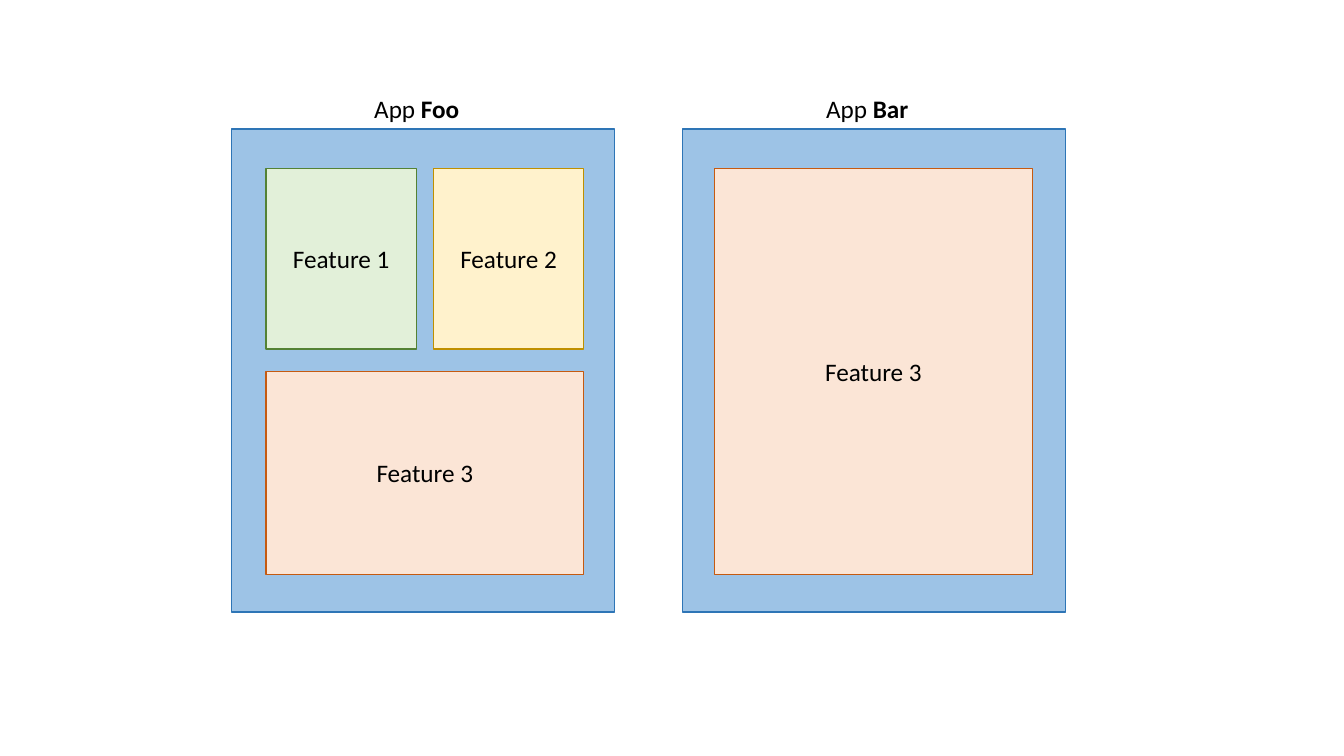
"""Build a slide showing which features the apps Foo and Bar contain."""
from pptx import Presentation
from pptx.dml.color import RGBColor
from pptx.enum.shapes import MSO_SHAPE
from pptx.enum.text import MSO_ANCHOR, MSO_AUTO_SIZE, PP_ALIGN
from pptx.util import Pt

APP_COLORS = ("9DC3E6", "2E75B6")
FEATURE_COLORS = {
    "Feature 1": ("E2F0D9", "548235"),
    "Feature 2": ("FFF2CC", "BF9000"),
    "Feature 3": ("FBE5D6", "C55A11"),
}
# Each app: name, left edge, left inset of its features, rows of (height, features)
APPS = [
    ("Foo", 165.6, 24.4, [(129, ["Feature 1", "Feature 2"]), (145, ["Feature 3"])]),
    ("Bar", 487.4, 23, [(290, ["Feature 3"])]),
]
APP_TOP, APP_WIDTH, APP_HEIGHT = 92.2, 273.6, 345
TITLE_WIDTH, TITLE_HEIGHT = 264.2, 28.8
FEATURES_TOP, FEATURES_WIDTH = 120.2, 227
COLUMN_GAP, ROW_GAP = 12.2, 16


def color(hex_string):
    return RGBColor.from_string(hex_string)


def write(shape, *parts):
    paragraph = shape.text_frame.paragraphs[0]
    paragraph.alignment = PP_ALIGN.CENTER
    for text, bold in parts:
        run = paragraph.add_run()
        run.text = text
        run.font.name = "Calibri"
        run.font.size = Pt(18)
        run.font.bold = bold
        run.font.color.rgb = color("000000")


def add_box(slide, left, top, width, height, colors):
    shape = slide.shapes.add_shape(
        MSO_SHAPE.RECTANGLE, Pt(left), Pt(top), Pt(width), Pt(height))
    fill, line = colors
    shape.shadow.inherit = False
    shape.fill.solid()
    shape.fill.fore_color.rgb = color(fill)
    shape.line.color.rgb = color(line)
    shape.line.width = Pt(1)
    return shape


def add_title(slide, name, left):
    title = slide.shapes.add_textbox(
        Pt(left), Pt(APP_TOP - TITLE_HEIGHT), Pt(TITLE_WIDTH), Pt(TITLE_HEIGHT))
    title.text_frame.word_wrap = True
    title.text_frame.auto_size = MSO_AUTO_SIZE.SHAPE_TO_FIT_TEXT
    write(title, ("App ", False), (name, True))


def add_features(slide, left, rows):
    top = FEATURES_TOP
    for height, features in rows:
        count = len(features)
        width = (FEATURES_WIDTH - COLUMN_GAP * (count - 1)) / count
        for column, feature in enumerate(features):
            box = add_box(slide, left + column * (width + COLUMN_GAP), top,
                          width, height, FEATURE_COLORS[feature])
            box.text_frame.vertical_anchor = MSO_ANCHOR.MIDDLE
            write(box, (feature, False))
        top += height + ROW_GAP


def main():
    presentation = Presentation()
    presentation.slide_width, presentation.slide_height = Pt(960), Pt(540)
    slide = presentation.slides.add_slide(presentation.slide_layouts[6])
    for name, left, inset, rows in APPS:
        add_box(slide, left, APP_TOP, APP_WIDTH, APP_HEIGHT, APP_COLORS)
        add_title(slide, name, left)
        add_features(slide, left + inset, rows)
    presentation.save("out.pptx")


if __name__ == "__main__":
    main()
